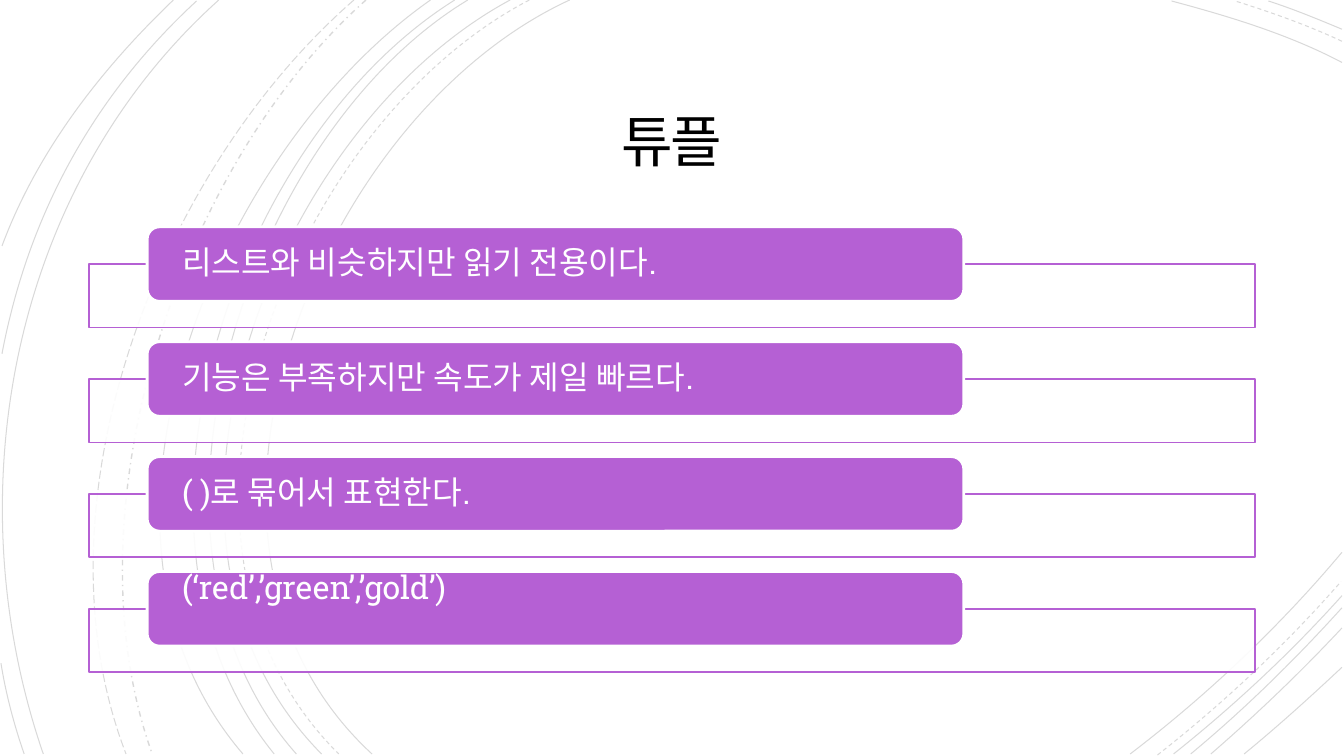
from copy import deepcopy
from lxml.etree import SubElement
from pptx import Presentation
from pptx.dml.color import RGBColor
from pptx.enum.dml import MSO_LINE
from pptx.enum.shapes import MSO_SHAPE
from pptx.enum.text import MSO_ANCHOR, PP_ALIGN
from pptx.oxml.ns import qn
from pptx.util import Inches, Pt

theme = {
    "ink": RGBColor.from_string("000000"),
    "paper": RGBColor.from_string("FFFFFF"),
    "accent": RGBColor.from_string("B560D4"),
    "head": "Calibri",
    "body": "Roboto Slab",
    "title": Pt(40),
    "text": Pt(23),
    "thin": Pt(0.75),
    "frame": Pt(1.25),
    "edge": Pt(2),
}

deck = Presentation()
deck.slide_width, deck.slide_height = Inches(13.33), Inches(7.5)
slide = deck.slides.add_slide(deck.slide_layouts[5])
shapes = slide.shapes


def fade(fill, percent):
    color = fill._xPr.find(qn("a:solidFill"))[0]
    SubElement(color, qn("a:alpha")).set("val", str(percent * 1000))


def style(run, font, size, color):
    run.font.name = font
    run.font.size = size
    run.font.color.rgb = color


solid, dash = MSO_LINE.SOLID, MSO_LINE.DASH
arcs = [
    (solid, (5.65, 0), (3.15, 1.15), (1.43, 5.4), (3.69, 7.48)),
    (solid, (13.31, 0.62), (12.78, 0.34), (12.18, 0.16), (11.62, 0.01)),
    (solid, (11.21, 7.48), (11.97, 6.9), (12.69, 6.22), (13.31, 5.48)),
    (dash, (5.25, 0), (2.85, 1.25), (1.23, 5.37), (3.36, 7.48)),
    (dash, (13.31, 0.41), (12.97, 0.25), (12.6, 0.12), (12.25, 0.01)),
    (dash, (11.48, 7.49), (12.13, 6.98), (12.75, 6.4), (13.3, 5.77)),
    (solid, (5.06, 0), (2.7, 1.27), (1.1, 5.37), (3.19, 7.48)),
    (solid, (13.31, 0.29), (13.07, 0.19), (12.83, 0.09), (12.58, 0.01)),
    (solid, (11.64, 7.48), (12.23, 7.01), (12.8, 6.48), (13.31, 5.91)),
    (solid, (4.64, 0), (2.44, 1.33), (1.1, 5.41), (2.94, 7.48)),
    (solid, (11.81, 7.48), (12.34, 7.04), (12.84, 6.55), (13.31, 6.03)),
    (solid, (4.51, 0), (2.31, 1.38), (0.97, 5.33), (2.72, 7.48)),
    (solid, (12.01, 7.48), (12.46, 7.09), (12.9, 6.67), (13.31, 6.23)),
    (solid, (4.27, 0), (2.17, 1.47), (0.53, 5.29), (2.41, 7.48)),
    (solid, (12.34, 7.48), (12.67, 7.21), (12.99, 6.92), (13.31, 6.62)),
    (MSO_LINE.DASH_DOT, (3.63, 0), (1.76, 1.66), (0.65, 5.09), (1.51, 7.48)),
    (MSO_LINE.LONG_DASH, (3.51, 0), (1.57, 1.69), (0.29, 4.99), (1.25, 7.48)),
    (solid, (2.17, 0), (0.11, 1.85), (-0.46, 4.9), (0.43, 7.48)),
    (solid, (1.95, 0.01), (0.92, 0.96), (0.28, 2.14), (0.02, 3.51)),
    (solid, (0.01, 6.58), (0.06, 6.89), (0.14, 7.19), (0.24, 7.48)),
    (solid, (1.72, 0), (1, 0.69), (0.37, 1.5), (0.02, 2.44)),
]
for kind, *points in arcs:
    start, *rest = [(Inches(x), Inches(y)) for x, y in points]
    pen = shapes.build_freeform(*start)
    pen.add_line_segments(rest, close=False)
    arc = pen.convert_to_shape()
    steps = list(arc._element.iter(qn("a:lnTo")))
    curve = SubElement(steps[0].getparent(), qn("a:cubicBezTo"))
    for step in steps:
        curve.append(step[0])
        step.getparent().remove(step)
    arc.shadow.inherit = False
    arc.fill.background()
    arc.line.color.rgb = theme["ink"]
    arc.line.width = Pt(1) if kind == MSO_LINE.DASH_DOT else theme["thin"]
    arc.line.dash_style = kind
    fade(arc.line.fill, 15)

title = shapes.title
shapes._spTree.append(title._element)
title.left, title.top = Inches(1.92), Inches(0.87)
title.width, title.height = Inches(9.49), Inches(1.15)
frame = title.text_frame
frame.word_wrap = True
frame.vertical_anchor = MSO_ANCHOR.MIDDLE
frame.margin_left = frame.margin_right = Inches(0.25)
frame.margin_top = frame.margin_bottom = Inches(0.25)
para = frame.paragraphs[0]
para.alignment = PP_ALIGN.CENTER
para.line_spacing = 0.85
run = para.add_run()
run.text = "튜플"
style(run, theme["head"], theme["title"], theme["ink"])
run.font._element.set("spc", "-150")

facts = [
    "리스트와 비슷하지만 읽기 전용이다. ",
    "기능은 부족하지만 속도가 제일 빠르다. ",
    "( )로 묶어서 표현한다. ",
    "(‘red’,’green’,’gold’)",
]
for row, fact in enumerate(facts):
    top = 2.25 + 1.14 * row
    box = shapes.add_shape(MSO_SHAPE.RECTANGLE, Inches(0.88), Inches(top + 0.37),
                           Inches(11.57), Inches(0.63))
    box.shadow.inherit = False
    box.fill.solid()
    box.fill.fore_color.rgb = theme["paper"]
    fade(box.fill, 90)
    box.line.color.rgb = theme["accent"]
    box.line.width = theme["frame"]

    card = shapes.add_shape(MSO_SHAPE.ROUNDED_RECTANGLE, Inches(1.46), Inches(top),
                            Inches(8.1), Inches(0.74))
    card.shadow.inherit = False
    card.fill.solid()
    card.fill.fore_color.rgb = theme["accent"]
    card.line.color.rgb = theme["paper"]
    card.line.width = theme["edge"]
    frame = card.text_frame
    frame.word_wrap = True
    frame.vertical_anchor = MSO_ANCHOR.MIDDLE
    frame.margin_left = frame.margin_right = Inches(0.31)
    frame.margin_top = frame.margin_bottom = 0
    para = frame.paragraphs[0]
    para.alignment = PP_ALIGN.LEFT
    para.line_spacing = 0.9
    run = para.add_run()
    run.text = fact
    style(run, theme["body"], theme["text"], theme["paper"])

para.add_line_break()
para._p[-1].append(deepcopy(run.font._element))
end = SubElement(para._p, qn("a:endParaRPr"))
end.set("sz", str(int(theme["text"].pt * 100)))

deck.save("out.pptx")
